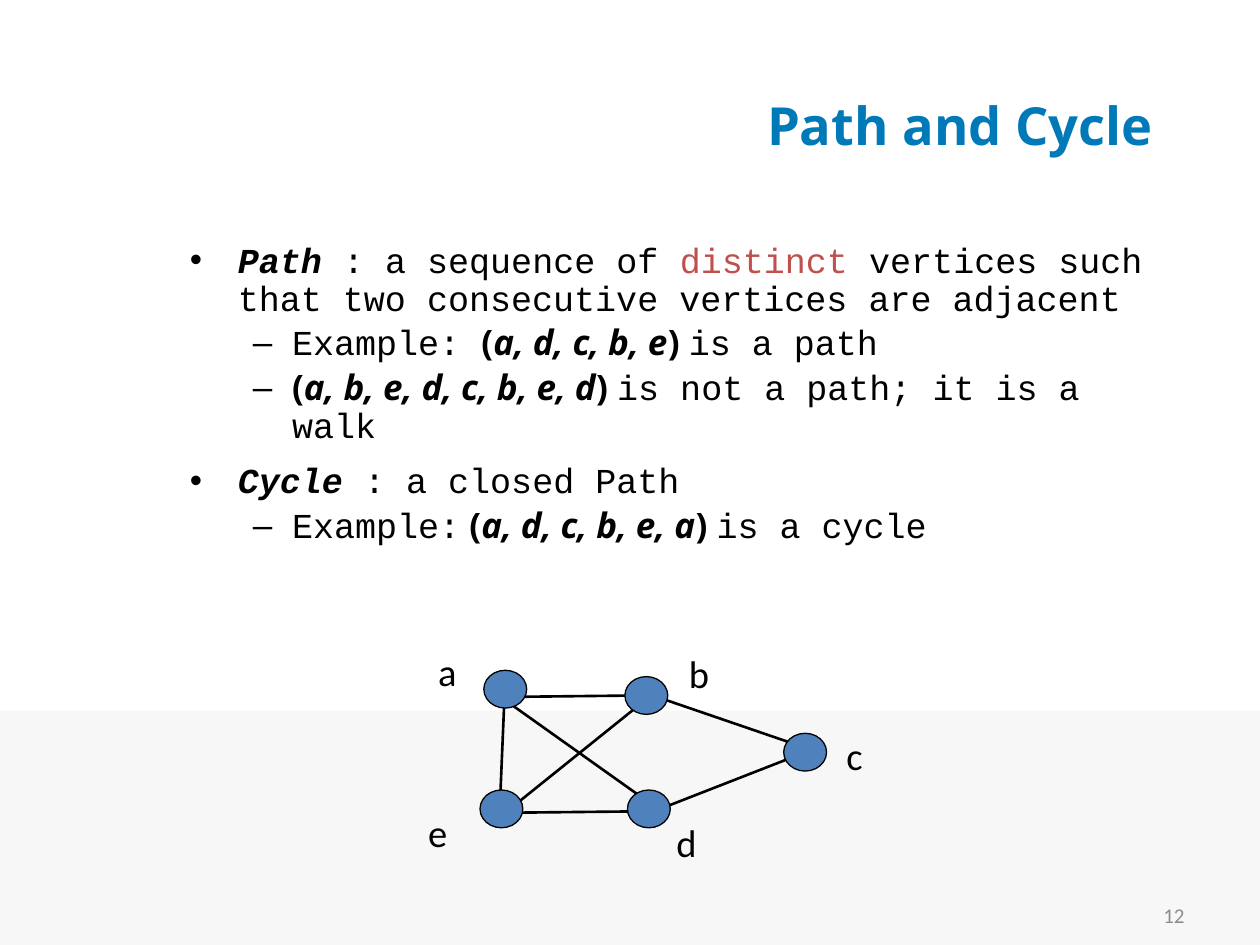
from dataclasses import dataclass

from lxml import etree
from pptx import Presentation
from pptx.dml.color import RGBColor
from pptx.enum import shapes, text
from pptx.oxml import ns
from pptx.util import Inches, Pt


@dataclass(frozen=True)
class Theme:
    title_color: str = "0079B8"
    ink: str = "000000"
    accent: str = "C0504D"
    node: str = "4F81BD"
    band: str = "F7F7F7"
    muted: str = "8C8C8C"
    heading: str = "Open Sans"
    mono: str = "Courier New"
    label: str = "Calibri"
    title_size: int = 30
    body_size: int = 20
    label_size: int = 22
    number_size: int = 12


THEME = Theme()

PLAIN = {}
TERM = {"bold": True, "italic": True}
ACCENT = {"color": THEME.accent}
BRACKET = {"font": THEME.heading, "bold": True}
VERTICES = {**BRACKET, "italic": True}


def sequence(vertices, before=""):
    """Runs for a bracketed vertex sequence."""
    return [(before + "(", BRACKET), (vertices, VERTICES), (") ", BRACKET)]


# Level, space before in points, runs
BODY = [
    (0, 0, [("Path ", TERM), (": a sequence of ", PLAIN), ("distinct", ACCENT),
            (" vertices such that two consecutive vertices are adjacent", PLAIN)]),
    (1, 4, [("Example: ", PLAIN), *sequence("a, d, c, b, e"), ("is a path", PLAIN)]),
    (1, 4, [*sequence("a, b, e, d, c, b, e, d"),
            ("is not a path; it is a walk", PLAIN)]),
    (0, 10, [("Cycle ", TERM), (": a closed Path", PLAIN)]),
    (1, 4, [("Example:", PLAIN), *sequence("a, d, c, b, e, a", " "),
            ("is a cycle", PLAIN)]),
]
# Bullet, left margin and hanging indent of each level
LEVELS = [("•", 0.38, 0.38), ("–", 0.81, 0.31)]

# Node centre and label corner, relative to the graph's box
NODES = {
    "a": ((0.71, 0.38), (0.08, 0)),
    "b": ((1.83, 0.43), (2.07, 0.02)),
    "e": ((0.68, 1.33), (0, 1.28)),
    "d": ((1.85, 1.33), (1.97, 1.36)),
    "c": ((3.09, 0.88), (3.32, 0.67)),
}
NODE_SIZE = (0.34, 0.3)
LABEL_SIZE = (0.53, 0.47)
EDGES = [
    ((0.7, 0.53), (0.67, 1.25)),    # a-e
    ((0.76, 1.36), (1.74, 1.35)),   # e-d
    ((1.94, 1.33), (2.99, 0.92)),   # d-c
    ((1.88, 0.43), (3.02, 0.82)),   # b-c
    ((0.84, 0.44), (1.76, 0.43)),   # a-b
    ((0.76, 1.32), (1.78, 0.5)),    # e-b
    ((0.77, 0.51), (1.81, 1.25)),   # a-d
]


def rgb(color):
    return RGBColor.from_string(color)


def add_run(paragraph, words, font=THEME.mono, size=THEME.body_size,
            color=THEME.ink, bold=False, italic=False):
    run = paragraph.add_run()
    run.text = words
    run.font.name, run.font.size = font, Pt(size)
    run.font.bold, run.font.italic = bold, italic
    run.font.color.rgb = rgb(color)


def add_frame(slide, box, anchor=text.MSO_ANCHOR.TOP):
    frame = slide.shapes.add_textbox(*map(Inches, box)).text_frame
    frame.word_wrap = True
    frame.vertical_anchor = anchor
    return frame


def add_text(slide, box, words, align=text.PP_ALIGN.LEFT,
             anchor=text.MSO_ANCHOR.TOP, **style):
    paragraph = add_frame(slide, box, anchor).paragraphs[0]
    paragraph.alignment = align
    add_run(paragraph, words, **style)


def add_solid(slide, kind, box, fill, outline=None):
    solid = slide.shapes.add_shape(kind, *map(Inches, box))
    solid.shadow.inherit = False
    solid.fill.solid()
    solid.fill.fore_color.rgb = rgb(fill)
    if outline:
        solid.line.color.rgb = rgb(outline)
        solid.line.width = Pt(0.75)
    else:
        solid.line.fill.background()


def set_bullet(paragraph, level):
    mark, margin, hanging = LEVELS[level]
    paragraph.level = level
    properties = paragraph._p.get_or_add_pPr()
    properties.set("marL", str(Inches(margin)))
    properties.set("indent", str(-Inches(hanging)))
    etree.SubElement(properties, ns.qn("a:buFont")).set("typeface", "Arial")
    etree.SubElement(properties, ns.qn("a:buChar")).set("char", mark)


def add_body(slide, box):
    frame = add_frame(slide, box)
    for index, (level, space, runs) in enumerate(BODY):
        paragraph = frame.add_paragraph() if index else frame.paragraphs[0]
        set_bullet(paragraph, level)
        paragraph.line_spacing = 0.9
        paragraph.space_before = Pt(space)
        for words, style in runs:
            add_run(paragraph, words, **style)


def add_edge(slide, start, end):
    edge = slide.shapes.add_connector(
        shapes.MSO_CONNECTOR.STRAIGHT, *map(Inches, (*start, *end)))
    edge.line.color.rgb = rgb(THEME.ink)
    edge.line.width = Pt(1.5)
    etree.SubElement(edge._element.spPr, ns.qn("a:effectLst"))


def add_graph(slide, left, top):
    """Edges first, so that the nodes cover their ends."""
    def place(point):
        return left + point[0], top + point[1]

    for start, end in EDGES:
        add_edge(slide, place(start), place(end))
    width, height = NODE_SIZE
    for name, (centre, corner) in NODES.items():
        add_text(slide, (*place(corner), *LABEL_SIZE), name,
                 font=THEME.label, size=THEME.label_size)
        x, y = place(centre)
        add_solid(slide, shapes.MSO_SHAPE.OVAL,
                  (x - width / 2, y - height / 2, width, height),
                  THEME.node, THEME.ink)


def main():
    deck = Presentation()
    deck.slide_width, deck.slide_height = Inches(10), Inches(7.5)
    slide = deck.slides.add_slide(deck.slide_layouts[6])
    right_middle = {"align": text.PP_ALIGN.RIGHT, "anchor": text.MSO_ANCHOR.MIDDLE}

    add_solid(slide, shapes.MSO_SHAPE.RECTANGLE, (0, 5.64, 10, 1.86), THEME.band)
    add_text(slide, (7.17, 7.06, 2.33, 0.4), "12", font=THEME.label,
             size=THEME.number_size, color=THEME.muted, **right_middle)
    add_text(slide, (0.75, 0.5, 8.5, 0.97), "Path and Cycle", font=THEME.heading,
             size=THEME.title_size, color=THEME.title_color, bold=True,
             **right_middle)
    add_body(slide, (1.41, 1.88, 7.84, 3.06))
    add_graph(slide, 3.3, 5.09)
    deck.save("out.pptx")


if __name__ == "__main__":
    main()
